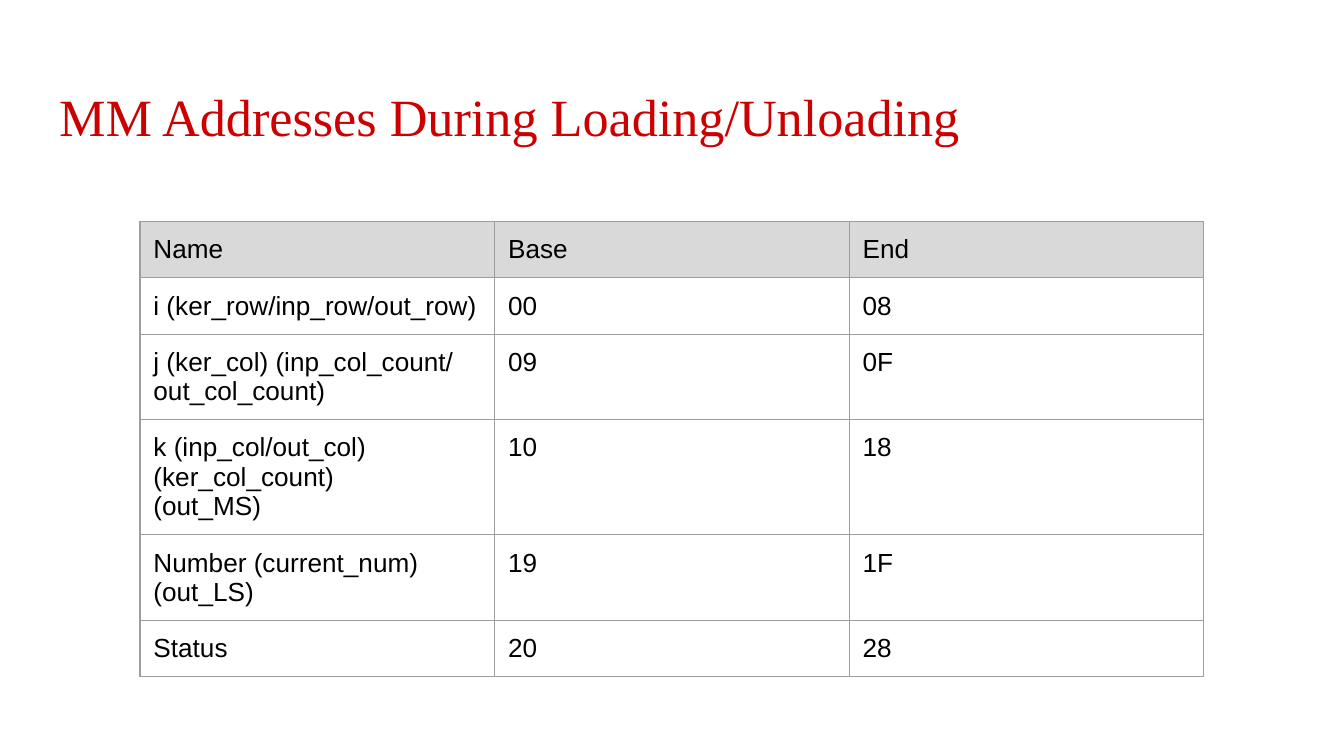
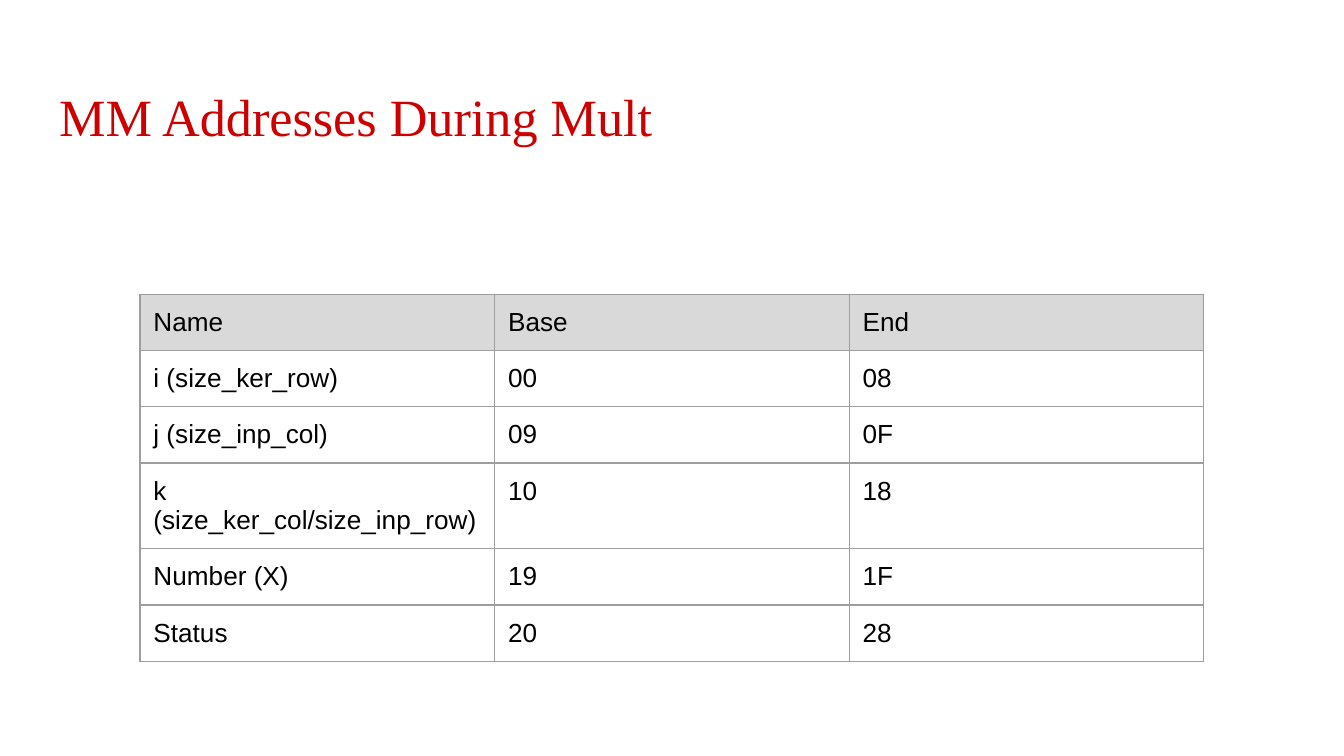
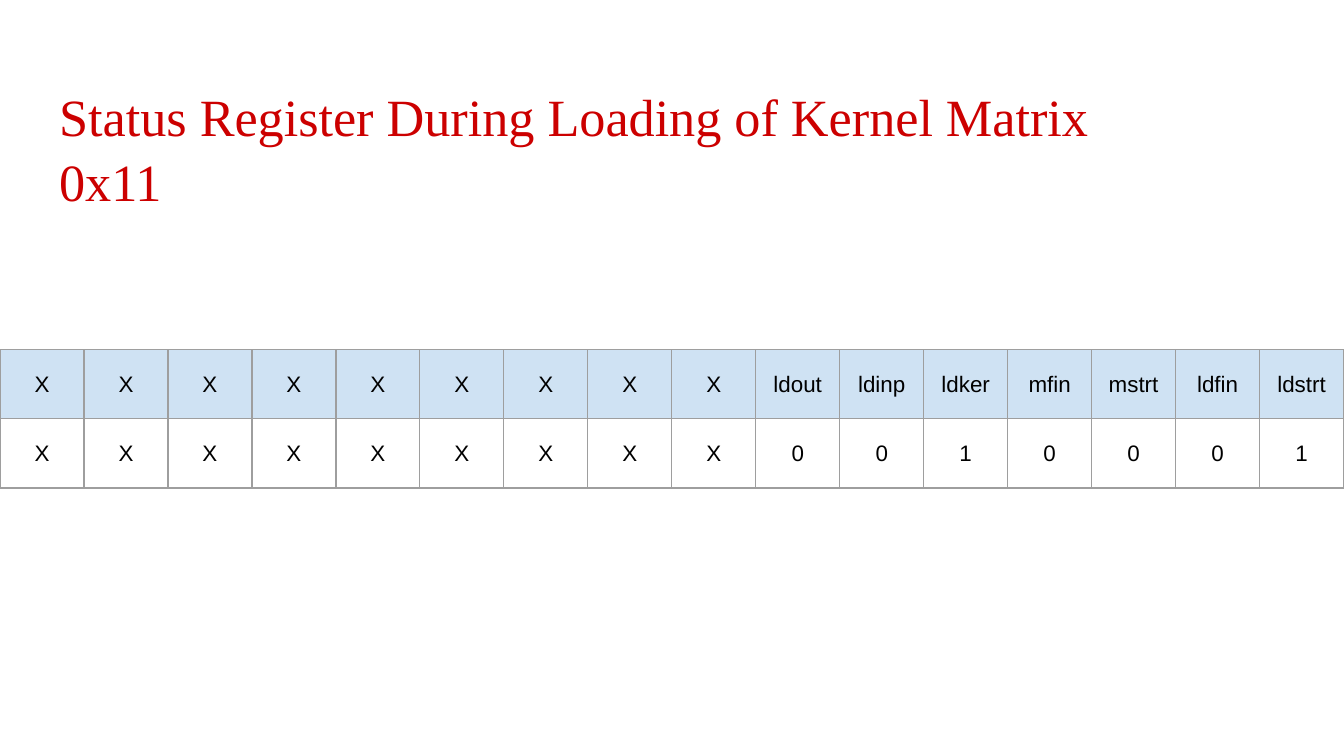
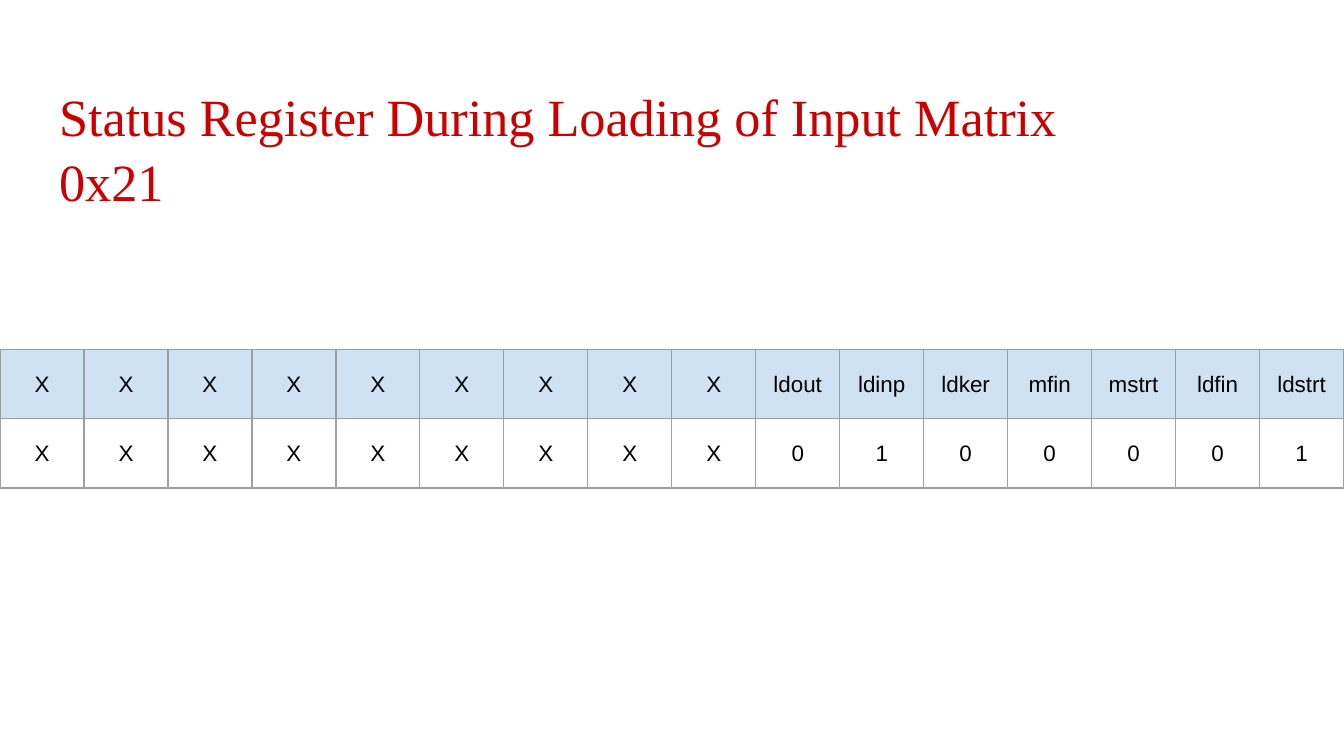
from lxml.etree import SubElement
from pptx import Presentation
from pptx.dml.color import RGBColor
from pptx.enum.text import MSO_ANCHOR as ANCHOR, MSO_AUTO_SIZE as AUTO, PP_ALIGN as ALIGN
from pptx.oxml.ns import qn
from pptx.util import Pt

RED = RGBColor(0xCC, 0x00, 0x00)
BLACK = RGBColor(0x00, 0x00, 0x00)
GREY = RGBColor(0xD9, 0xD9, 0xD9)
BLUE = RGBColor(0xCF, 0xE2, 0xF3)
RULE = RGBColor(0x9E, 0x9E, 0x9E)

TITLE_BOX = dict(left=Pt(24.5), top=Pt(35.3), width=Pt(671), height=Pt(45))
TITLE_FRAME = dict(margin_left=Pt(7.2), margin_right=Pt(7.2), margin_top=Pt(9), margin_bottom=Pt(7.2),
                   vertical_anchor=ANCHOR.TOP, word_wrap=True, auto_size=AUTO.NONE)
CELL_MARGINS = {f"margin_{side}": Pt(7.2) for side in ("left", "right", "top", "bottom")}

ADDRESS = dict(left=75, col=190, row=30, size=14, fill=GREY, align=ALIGN.LEFT, anchor=ANCHOR.TOP)
STATUS = dict(left=0, col=45, row=37, size=12, fill=BLUE, align=ALIGN.CENTER, anchor=ANCHOR.MIDDLE)

RANGES = [("00", "08"), ("09", "0F"), ("10", "18"), ("19", "1F"), ("20", "28")]
LOAD_NAMES = ["i (ker_row/inp_row/out_row)",
              "j (ker_col) (inp_col_count/\nout_col_count)",
              "k (inp_col/out_col) (ker_col_count)\n(out_MS)",
              "Number (current_num)\n(out_LS)",
              "Status"]
MULT_NAMES = ["i (size_ker_row)", "j (size_inp_col)", "k\n(size_ker_col/size_inp_row)",
              "Number (X)", "Status"]
UNUSED = ["X"] * 9
FLAGS = ["ldout", "ldinp", "ldker", "mfin", "mstrt", "ldfin", "ldstrt"]

# Title, table style, table top, rows
SLIDES = [
    ("MM Addresses During Loading/Unloading", ADDRESS, 118.7,
     [("Name", "Base", "End")] + [(n, *ends) for n, ends in zip(LOAD_NAMES, RANGES)]),
    ("MM Addresses During Mult", ADDRESS, 157.6,
     [("Name", "Base", "End")] + [(n, *ends) for n, ends in zip(MULT_NAMES, RANGES)]),
    ("Status Register During Loading of Kernel Matrix\n0x11", STATUS, 187.4,
     [UNUSED + FLAGS, UNUSED + list("0010001")]),
    ("Status Register During Loading of Input Matrix\n0x21", STATUS, 187.4,
     [UNUSED + FLAGS, UNUSED + list("0100001")]),
]


def write(tf, text, align, spacing, **font):
    """Fill a text frame, one paragraph a line, with one look."""
    tf.text = text
    color = font.pop("color")
    for p in tf.paragraphs:
        p.alignment, p.line_spacing = align, spacing
        for r in p.runs:
            r.font.color.rgb = color
            for key, value in font.items():
                setattr(r.font, key, value)


def draw_borders(cell):
    """Rule all four sides of a cell; call before the fill is set."""
    tcPr = cell._tc.get_or_add_tcPr()
    for side in ("lnL", "lnR", "lnT", "lnB"):
        ln = SubElement(tcPr, qn(f"a:{side}"), w=str(Pt(0.75)))
        fill = SubElement(ln, qn("a:solidFill"))
        SubElement(fill, qn("a:srgbClr"), val=str(RULE))


prs = Presentation()
prs.slide_width, prs.slide_height = Pt(720), Pt(405)
title_only = prs.slide_layouts[5]

for title, style, top, rows in SLIDES:
    s = prs.slides.add_slide(title_only)
    sp = s.shapes.title
    for target, values in ((sp, TITLE_BOX), (sp.text_frame, TITLE_FRAME)):
        for key, value in values.items():
            setattr(target, key, value)
    write(sp.text_frame, title, ALIGN.LEFT, 1.03, name="Times New Roman", size=Pt(28), color=RED)

    n_rows, n_cols = len(rows), len(rows[0])
    table = s.shapes.add_table(n_rows, n_cols, Pt(style["left"]), Pt(top),
                               Pt(style["col"] * n_cols), Pt(style["row"] * n_rows)).table
    table.first_row = table.horz_banding = False
    for col in table.columns:
        col.width = Pt(style["col"])
    for i, row in enumerate(rows):
        table.rows[i].height = Pt(style["row"])
        for j, text in enumerate(row):
            cell = table.cell(i, j)
            draw_borders(cell)
            if i == 0:
                cell.fill.solid()
                cell.fill.fore_color.rgb = style["fill"]
            else:
                cell.fill.background()
            for key, value in CELL_MARGINS.items():
                setattr(cell, key, value)
            cell.vertical_anchor = style["anchor"]
            write(cell.text_frame, text, style["align"], 1.0,
                  name="Arial", size=Pt(style["size"]), color=BLACK)

prs.save("out.pptx")
